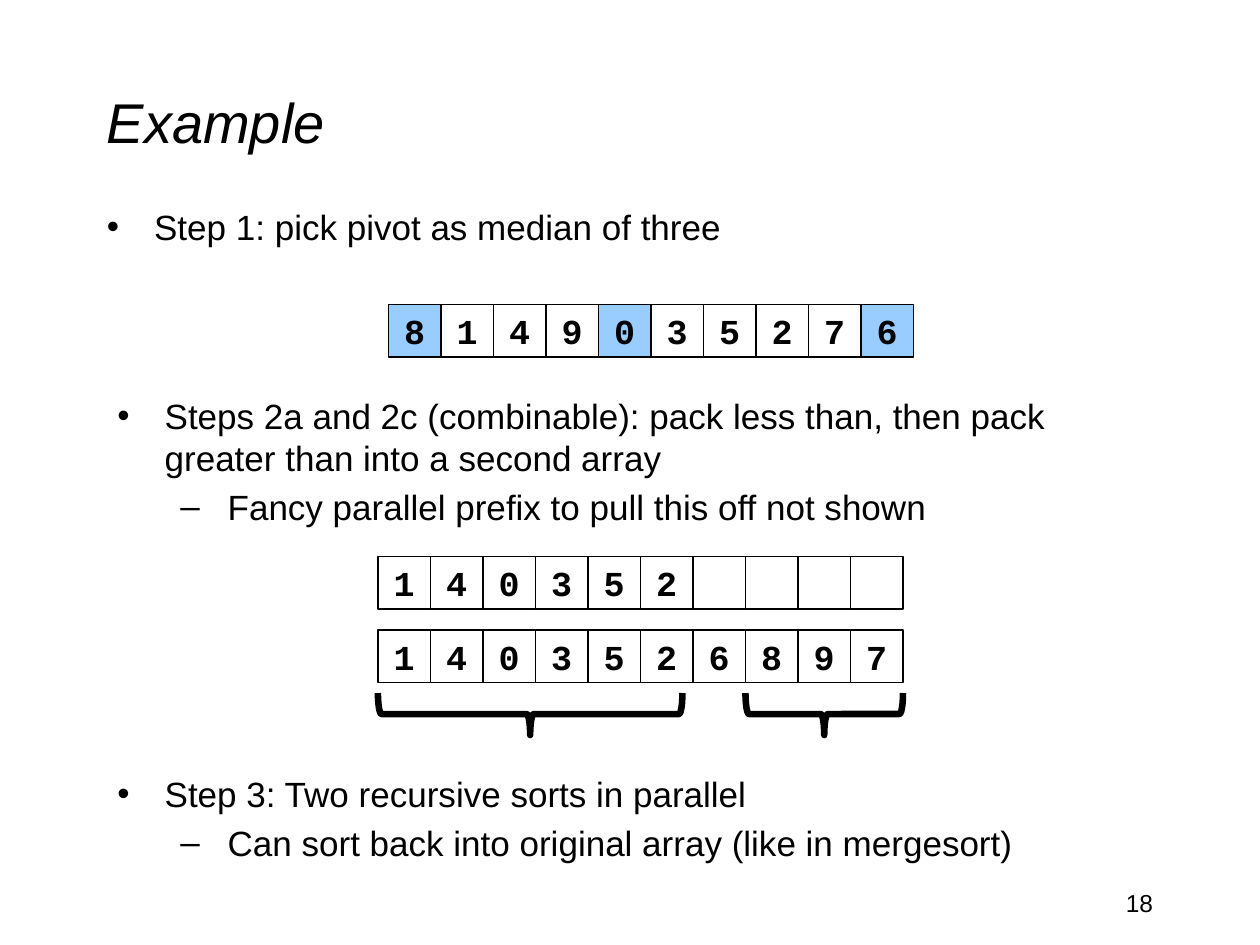
import pptx
import pptx.dml.color
import pptx.enum.shapes
import pptx.enum.text
import pptx.oxml.ns
import pptx.util
from lxml import etree

EMU_PER_PX = 914400 // 120
COLORS = {"ink": "000000", "pivot": "99CCFF", "paper": "FFFFFF"}
CELL = 50
BULLETS = ("•", "–")
INDENTS = (45, 105)
HANGING = 45

ALIGN = pptx.enum.text.PP_ALIGN
ANCHOR = pptx.enum.text.MSO_ANCHOR
SHAPE = pptx.enum.shapes.MSO_SHAPE


def px(length):
    return pptx.util.Emu(length * EMU_PER_PX)


def color(name):
    return pptx.dml.color.RGBColor.from_string(COLORS[name])


def write(paragraph, text, size=20, font="Arial", bold=False, italic=False,
          align=ALIGN.LEFT):
    paragraph.alignment = align
    run = paragraph.add_run()
    run.text = text
    run.font.size = pptx.util.Pt(size)
    run.font.name = font
    run.font.bold = bold
    run.font.italic = italic
    run.font.color.rgb = color("ink")


def add_text_frame(slide, left, top, width, height, anchor=ANCHOR.TOP):
    box = slide.shapes.add_textbox(px(left), px(top), px(width), px(height))
    frame = box.text_frame
    frame.word_wrap = True
    frame.vertical_anchor = anchor
    return frame


def set_bullet(paragraph, level):
    """Give a paragraph its level's bullet, hanging indent and 20% space before."""
    paragraph.level = level
    properties = paragraph._p.get_or_add_pPr()
    properties.set("marL", str(px(INDENTS[level])))
    properties.set("indent", str(px(-HANGING)))
    qn = pptx.oxml.ns.qn
    spacing = etree.SubElement(properties, qn("a:spcBef"))
    etree.SubElement(spacing, qn("a:spcPct"), val="20000")
    etree.SubElement(properties, qn("a:buFont"), typeface="Arial")
    etree.SubElement(properties, qn("a:buChar"), char=BULLETS[level])


def add_steps(slide, left, top, height, *lines):
    """Write the first line as a step and the others as its sub-points."""
    frame = add_text_frame(slide, left, top, 1020, height)
    for index, line in enumerate(lines):
        paragraph = frame.add_paragraph() if index else frame.paragraphs[0]
        write(paragraph, line)
        set_bullet(paragraph, min(index, 1))


def add_outline(slide, kind, left, top, width, height, line_width):
    shape = slide.shapes.add_shape(kind, px(left), px(top), px(width), px(height))
    shape.shadow.inherit = False
    shape.fill.background()
    shape.line.color.rgb = color("ink")
    shape.line.width = pptx.util.Pt(line_width)
    return shape


def add_array(slide, left, top, values, candidates=()):
    """Draw one cell per character, shading the pivot candidates."""
    for index, value in enumerate(values):
        cell = add_outline(slide, SHAPE.RECTANGLE, left + index * CELL, top,
                           CELL, CELL, 0.75)
        if index in candidates:
            cell.fill.solid()
            cell.fill.fore_color.rgb = color("pivot")
        if value.strip():
            frame = cell.text_frame
            frame.word_wrap = False
            frame.vertical_anchor = ANCHOR.MIDDLE
            write(frame.paragraphs[0], value, font="Courier New", bold=True,
                  align=ALIGN.CENTER)


def add_brace_below(slide, left, top, span, depth=40):
    """Turn a left brace so that it opens upwards across the span."""
    brace = add_outline(slide, SHAPE.LEFT_BRACE, left + (span - depth) // 2,
                        top - (span - depth) // 2, depth, span, 3.75)
    brace.rotation = 270


def main():
    presentation = pptx.Presentation()
    presentation.slide_width, presentation.slide_height = px(1200), px(900)
    slide = presentation.slides.add_slide(presentation.slide_layouts[6])
    slide.background.fill.solid()
    slide.background.fill.fore_color.rgb = color("paper")

    title = add_text_frame(slide, 90, 40, 1020, 150, ANCHOR.MIDDLE)
    write(title.paragraphs[0], "Example", size=32, italic=True)

    add_steps(slide, 90, 190, 60, "Step 1: pick pivot as median of three")
    add_array(slide, 370, 290, "8149035276", candidates=(0, 4, 9))

    add_steps(slide, 100, 370, 140,
              "Steps 2a and 2c (combinable): pack less than, then pack "
              "greater than into a second array",
              "Fancy parallel prefix to pull this off not shown")
    add_array(slide, 360, 530, "140352".ljust(10))
    add_array(slide, 360, 600, "1403526897")

    add_steps(slide, 100, 730, 100,
              "Step 3: Two recursive sorts in parallel",
              "Can sort back into original array (like in mergesort)")
    add_brace_below(slide, 360, 660, 290)
    add_brace_below(slide, 710, 660, 150)

    page_number = add_text_frame(slide, 860, 840, 250, 60)
    write(page_number.paragraphs[0], "18", size=14, align=ALIGN.RIGHT)

    presentation.save("out.pptx")


if __name__ == "__main__":
    main()
